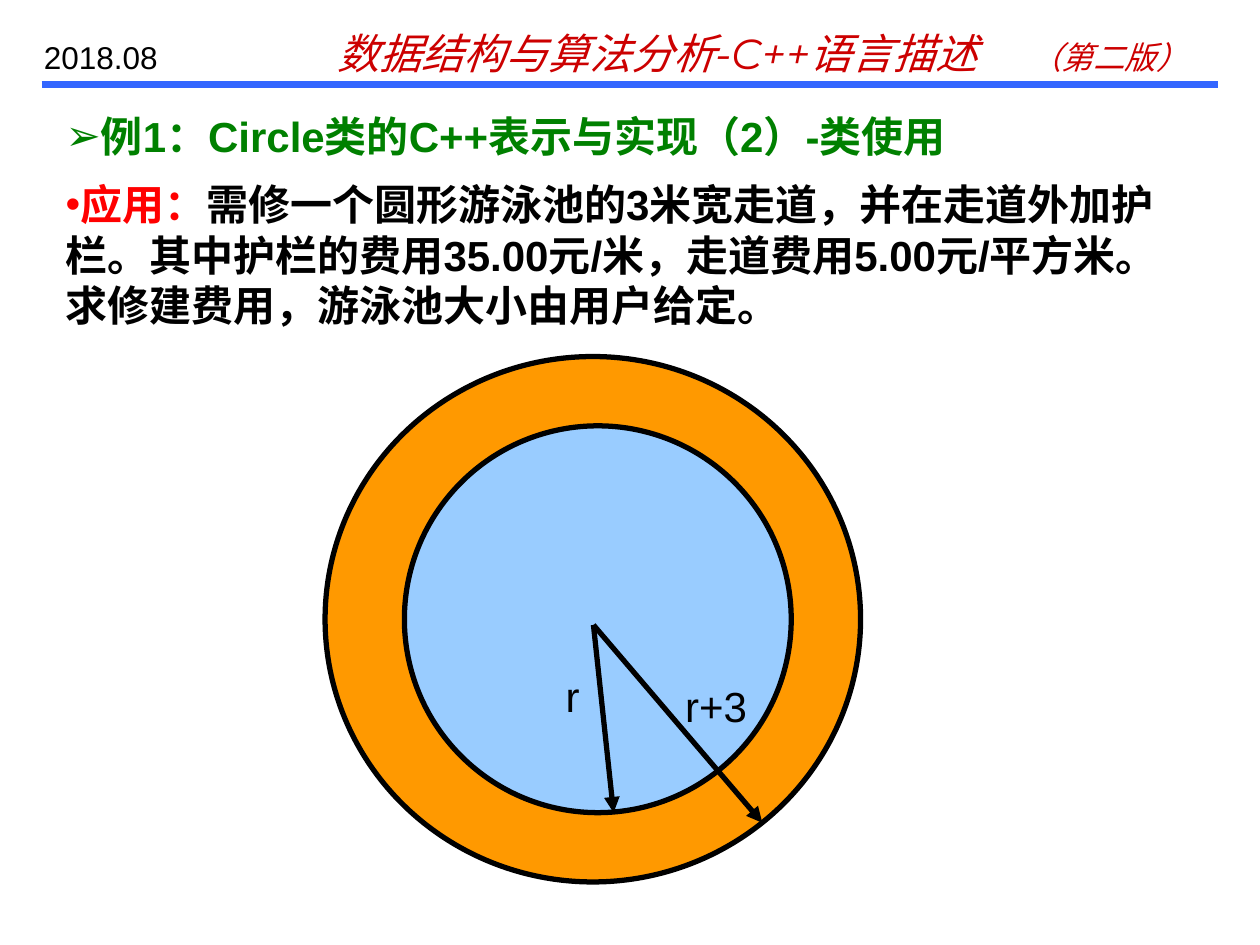
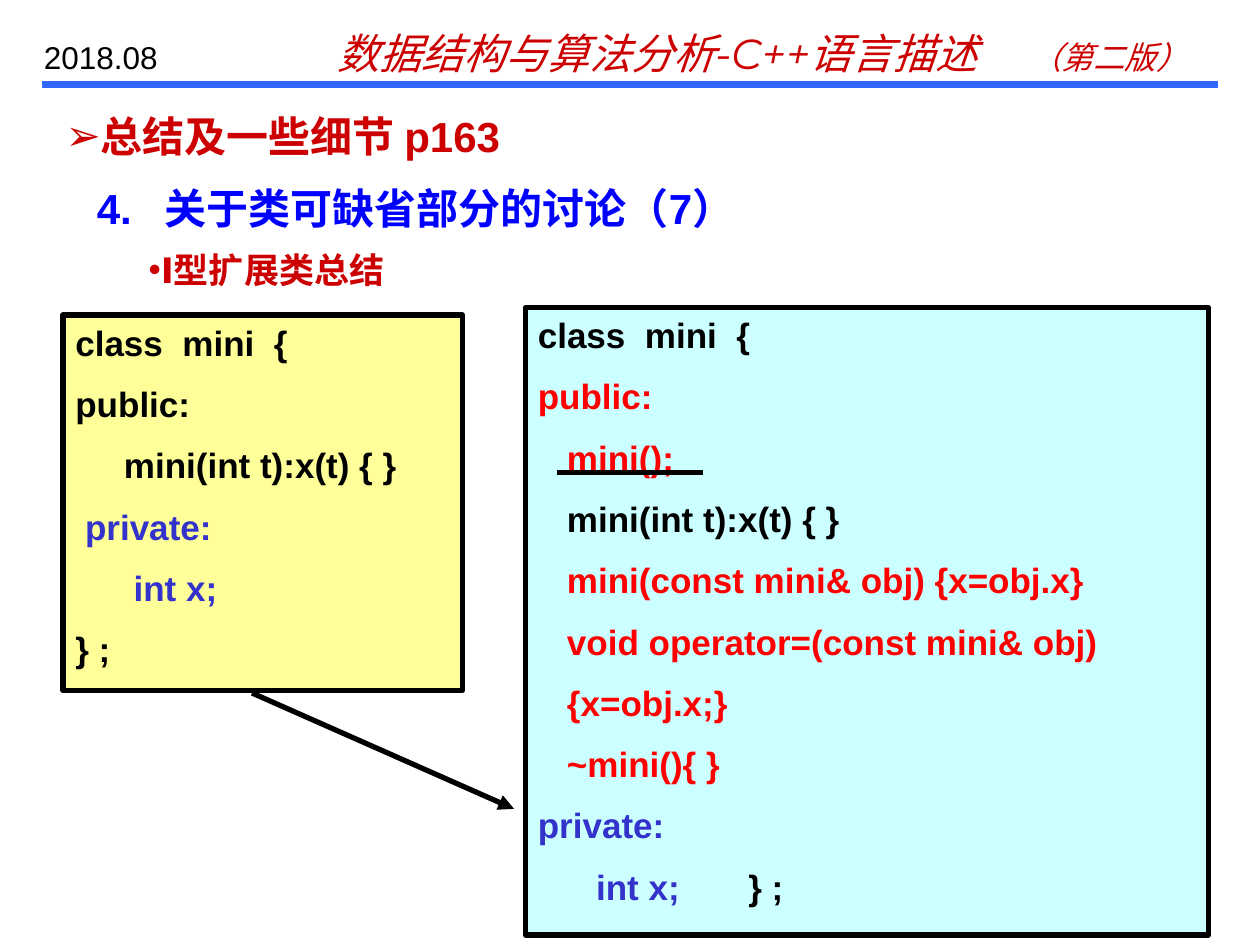
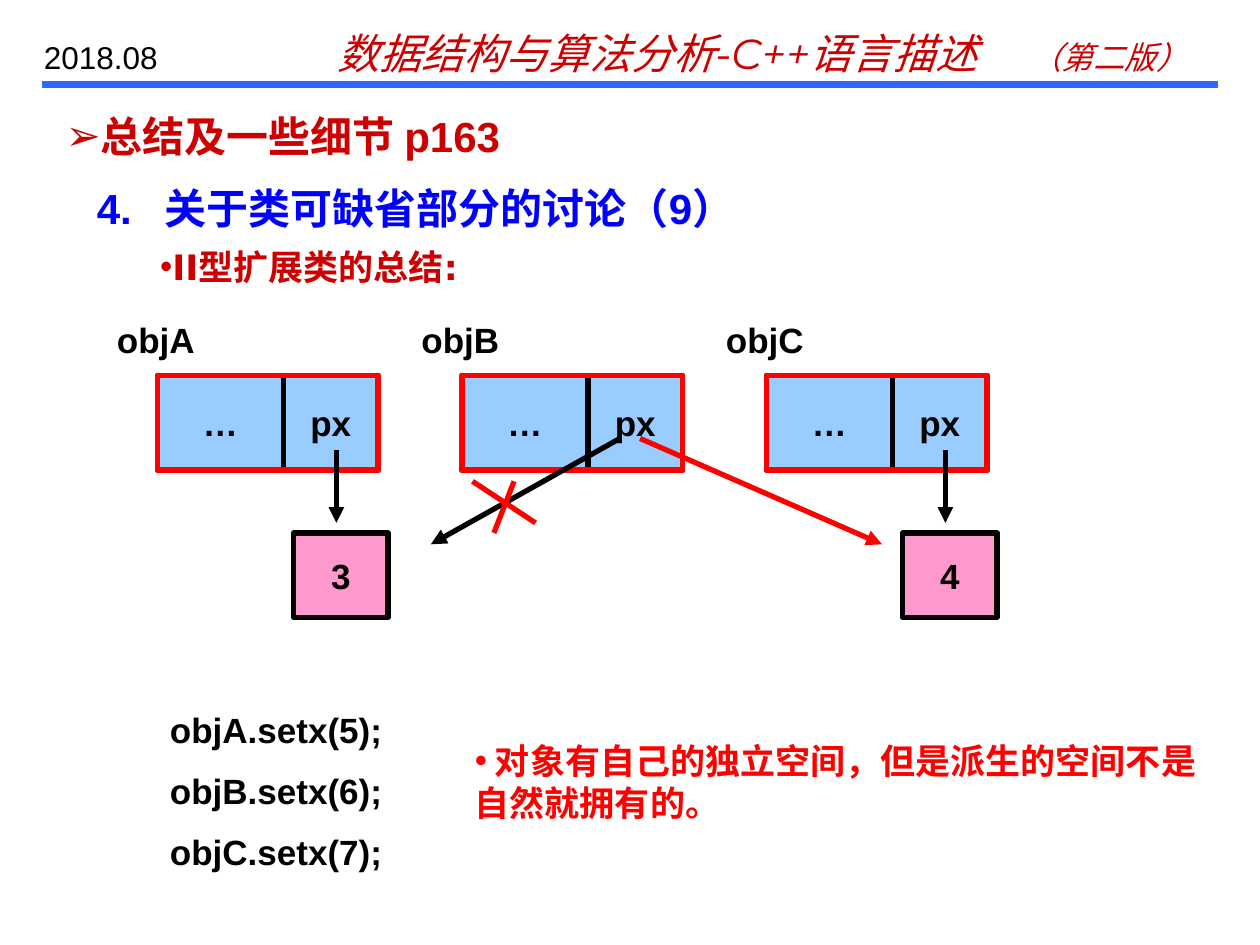
"""Build three lecture slides on C++ classes that share a header and title style."""
from lxml import etree
from pptx import Presentation
from pptx import util as u
from pptx.dml.color import RGBColor
from pptx.enum import shapes, text
from pptx.oxml.ns import qn

COLORS = {
    "black": "000000", "rule": "3366FF", "crimson": "CC0000", "red": "FF0000",
    "green": "008000", "blue": "0000FF", "indigo": "3333CC", "orange": "FF9900",
    "sky": "99CCFF", "yellow": "FFFF99", "cyan": "CCFFFF", "pink": "FF99CC",
}
BOOK = [("数据结构与算法分析-C++语言描述\t", "crimson", 24), ("（第二版）", "crimson", 18)]
DATE = "2018.08"
SUMMARY = "总结及一些细节 p163"

POOL_TITLE = "例1：Circle类的C++表示与实现（2）-类使用"
POOL_TASK = [
    ("应用：", "red"),
    ("需修一个圆形游泳池的3米宽走道，并在走道外加护栏。其中护栏的费用35.00元/米，"
     "走道费用5.00元/平方米。求修建费用，游泳池大小由用户给定。", "black"),
]
POOL_CIRCLES = [((2.58, 2.83, 4.25, 4.17), "orange"), ((3.21, 3.38, 3.07, 3.07), "sky")]
POOL_CENTER = (4.71, 4.96)
POOL_RADII = [
    ((4.87, 6.45), "r", (4.39, 5.27, 0.39, 0.5)),
    ((6.05, 6.53), "r+3", (5.34, 5.35, 0.87, 0.5)),
]

SHORT_CLASS = [
    "class  mini  {",
    "public:",
    "     mini(int t):x(t) { }",
    [(" private:", "indigo")],
    [("      int x;", "indigo")],
    "} ;",
]
FULL_CLASS = [
    "class  mini  {",
    [("public:", "red")],
    [("   mini();", "red")],
    "   mini(int t):x(t) { }",
    [("   mini(const mini& obj) {x=obj.x}", "red")],
    [("   void operator=(const mini& obj)", "red")],
    [("   {x=obj.x;}", "red")],
    [("   ~mini(){ }", "red")],
    [("private:", "indigo")],
    [("      int x;       ", "indigo"), ("} ;", "black")],
]
CLASS_BOXES = [
    (SHORT_CLASS, (0.5, 2.5, 3.17, 2.98), "yellow"),
    (FULL_CLASS, (4.17, 2.44, 5.42, 4.98), "cyan"),
]

OBJECTS = [("objA", "3"), ("objB", None), ("objC", "4")]
OBJECT_LEFT, OBJECT_TOP, OBJECT_STEP = 1.25, 2.98, 29 / 12
FIELDS = [("…", 0, 1), ("px", 1, 0.75)]
CALLS = ["objA.setx(5);", "objB.setx(6);", "objC.setx(7);"]
CROSS = [((3.75, 3.82), (4.25, 4.15)), ((4.08, 3.82), (3.92, 4.23))]
SPACE_NOTE = " 对象有自己的独立空间，但是派生的空间不是自然就拥有的。"


def rgb(name):
    return RGBColor.from_string(COLORS[name])


def inches(values):
    return [u.Inches(v) for v in values]


def write(tf, paras, size=20, color="black", font="Arial", bold=True, italic=False,
          bullet=None, align=text.PP_ALIGN.LEFT, anchor=text.MSO_ANCHOR.TOP,
          wrap=True, tab=None, hanging=0):
    tf.word_wrap, tf.auto_size, tf.vertical_anchor = wrap, text.MSO_AUTO_SIZE.NONE, anchor
    for i, para in enumerate(paras):
        p = tf.add_paragraph() if i else tf.paragraphs[0]
        p.alignment = align
        p.space_before = u.Pt(11 if i else 0)
        pPr = p._p.get_or_add_pPr()
        pPr.set("marL", str(u.Inches(hanging)))
        pPr.set("indent", str(-u.Inches(hanging)))
        if bullet:
            etree.SubElement(pPr, qn("a:buFont"), typeface="Arial")
            etree.SubElement(pPr, qn("a:buChar"), char=bullet)
        if tab:
            tabs = etree.SubElement(pPr, qn("a:tabLst"))
            etree.SubElement(tabs, qn("a:tab"), pos=str(u.Inches(tab)), algn="l")
        for words, *style in [(para,)] if isinstance(para, str) else para:
            r = p.add_run()
            r.text = words
            r.font.name, r.font.bold, r.font.italic = font, bold, italic
            r.font.color.rgb = rgb(style[0] if style else color)
            r.font.size = u.Pt(style[1] if len(style) > 1 else size)


def add_text(s, at, paras, **fmt):
    write(s.shapes.add_textbox(*inches(at)).text_frame, paras, **fmt)


def add_box(s, at, fill=None, line="black", kind=shapes.MSO_SHAPE.RECTANGLE, paras=(), **fmt):
    sp = s.shapes.add_shape(kind, *inches(at))
    sp.shadow.inherit = False
    if fill:
        sp.fill.solid()
        sp.fill.fore_color.rgb = rgb(fill)
    else:
        sp.fill.background()
    sp.line.color.rgb = rgb(line)
    sp.line.width = u.Pt(3)
    write(sp.text_frame, paras, **fmt)


def add_line(s, start, end, color="black", width=3, arrow=False):
    line = s.shapes.add_connector(shapes.MSO_CONNECTOR.STRAIGHT, *inches(start + end))
    line.line.color.rgb = rgb(color)
    line.line.width = u.Pt(width)
    if arrow:
        etree.SubElement(line.line._get_or_add_ln(), qn("a:tailEnd"), type="triangle")
    etree.SubElement(line._element.spPr, qn("a:effectLst"))


def fill_placeholder(sp, at, paras, **fmt):
    sp.left, sp.top, sp.width, sp.height = inches(at)
    write(sp.text_frame, paras, **fmt)


def add_slide(prs, title, title_color, body, body_at, **body_fmt):
    s = prs.slides.add_slide(prs.slide_layouts[1])
    add_line(s, (0.33, 0.67), (9.67, 0.67), "rule", 4)
    add_text(s, (2.58, 0.17, 7, 0.5), [BOOK], font="Montserrat", bold=False, italic=True, tab=5.4)
    add_text(s, (0.25, 0.25, 1.42, 0.4), [DATE], size=18, bold=False)
    fill_placeholder(s.shapes.title, (0.42, 0.83, 9.33, 0.5), [title],
                     size=24, color=title_color, bullet="➢")
    fill_placeholder(s.placeholders[1], body_at, [body], bullet="•", **body_fmt)
    return s


def add_summary_slide(prs, part, body, body_at):
    s = add_slide(prs, SUMMARY, "crimson", body, body_at, color="crimson", font="DejaVu Sans")
    add_text(s, (0.67, 1.4, 9.17, 0.5), [f"4.\t关于类可缺省部分的讨论（{part}）"],
             size=24, color="blue", hanging=0.54)
    return s


def add_pool_slide(prs):
    s = add_slide(prs, POOL_TITLE, "green", POOL_TASK, (0.42, 1.37, 9.08, 1.3), size=24)
    for at, fill in POOL_CIRCLES:
        add_box(s, at, fill, kind=shapes.MSO_SHAPE.OVAL)
    for end, label, at in POOL_RADII:
        add_line(s, POOL_CENTER, end, arrow=True)
        add_text(s, at, [label], size=24, bold=False)


def add_class_slide(prs):
    s = add_summary_slide(prs, 7, "I型扩展类总结", (1.08, 1.92, 8.75, 0.43))
    for code, at, fill in CLASS_BOXES:
        add_box(s, at, fill, paras=code)
    add_line(s, (4.42, 3.75), (5.58, 3.75))
    add_line(s, (2, 5.5), (4.08, 6.42), arrow=True)


def add_object_slide(prs):
    s = add_summary_slide(prs, 9, "II型扩展类的总结:", (1.17, 1.9, 8.67, 0.43))
    centered = dict(align=text.PP_ALIGN.CENTER, anchor=text.MSO_ANCHOR.MIDDLE, wrap=False)
    for i, (name, value) in enumerate(OBJECTS):
        left = OBJECT_LEFT + i * OBJECT_STEP
        for field, offset, width in FIELDS:
            add_box(s, (left + offset, OBJECT_TOP, width, 0.75), "sky", paras=[field], **centered)
        add_text(s, (left - 0.42, OBJECT_TOP - 0.5, 1.33, 0.43), [name])
        add_box(s, (left, OBJECT_TOP, 1.75, 0.75), line="red")
        if value:
            add_line(s, (left + 1.42, 3.57), (left + 1.42, 4.15), arrow=True)
            add_box(s, (left + 1.08, 4.23, 0.75, 0.67), "pink", paras=[value], **centered)
    add_line(s, (4.92, 3.48), (3.42, 4.32), arrow=True)
    add_line(s, (5.08, 3.48), (7, 4.32), "red", arrow=True)
    for start, end in CROSS:
        add_line(s, start, end, "red")
    add_text(s, (1.25, 5.57, 3.25, 1.43), CALLS)
    add_text(s, (3.67, 5.82, 6.17, 0.77), [SPACE_NOTE], color="red", bullet="•")


def main():
    prs = Presentation()
    prs.slide_width, prs.slide_height = inches((10, 7.5))
    add_pool_slide(prs)
    add_class_slide(prs)
    add_object_slide(prs)
    prs.save("out.pptx")


if __name__ == "__main__":
    main()
